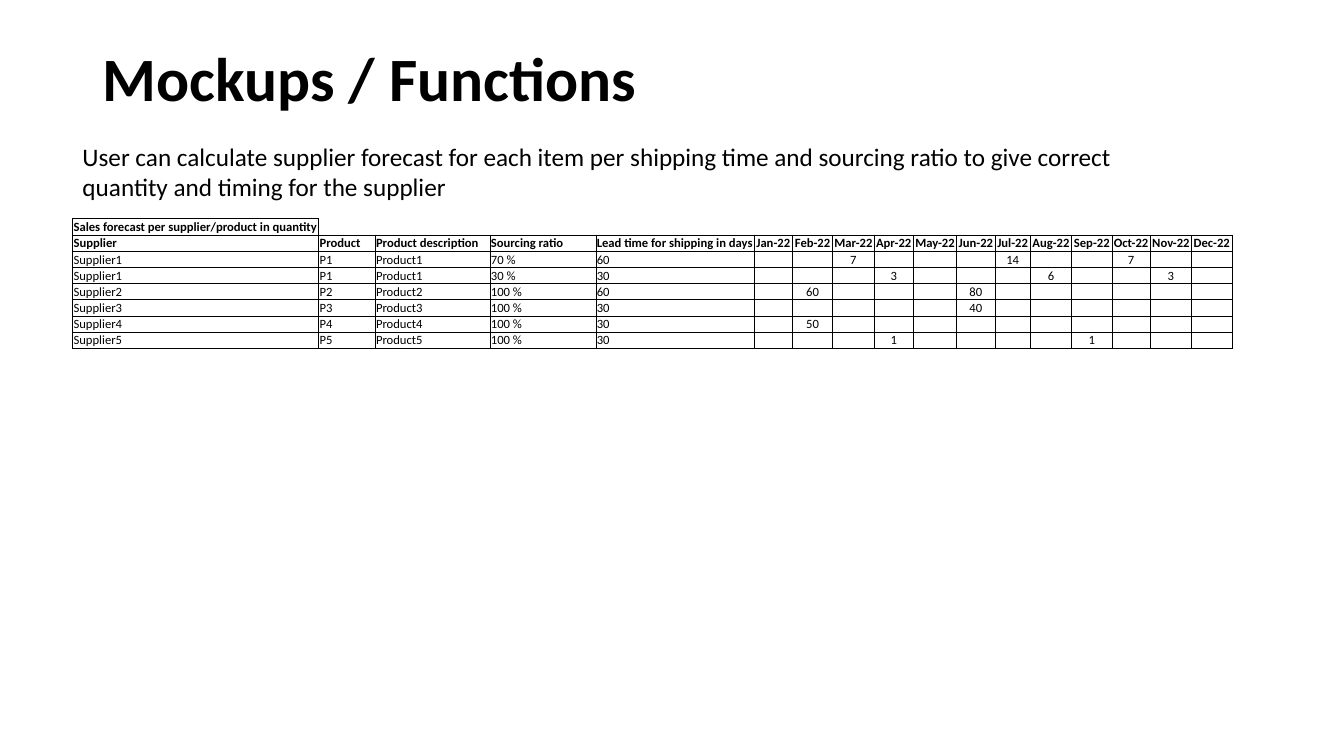
from lxml import etree
from pptx import Presentation
from pptx import util as u
from pptx.dml.color import RGBColor
from pptx.enum import text
from pptx.oxml.ns import qn

COLOURS = {"ink": "000000"}
FONT = "Calibri"
WIDTH, HEIGHT = 13.33, 7.5
LEFT = 0.72
CELL_SIZE = 9
ROW_HEIGHT = 0.16
INFO_WIDTHS = [2.44, 0.56, 1.14, 1.05, 1.57]
MONTH_WIDTHS = [0.38, 0.4, 0.41, 0.39, 0.43, 0.38, 0.35, 0.41, 0.4, 0.38, 0.41, 0.4]
MONTHS = "Jan Feb Mar Apr May Jun Jul Aug Sep Oct Nov Dec".split()
CAPTION = "Sales forecast per supplier/product in quantity"
INFO_HEADINGS = ["Supplier", "Product", "Product description", "Sourcing ratio",
                 "Lead time for shipping in days"]
# supplier number, product number, sourcing ratio, lead time, quantity by month
FORECASTS = [
    (1, 1, 70, 60, {"Mar": 7, "Jul": 14, "Oct": 7}),
    (1, 1, 30, 30, {"Apr": 3, "Aug": 6, "Nov": 3}),
    (2, 2, 100, 60, {"Feb": 60, "Jun": 80}),
    (3, 3, 100, 30, {"Jun": 40}),
    (4, 4, 100, 30, {"Feb": 50}),
    (5, 5, 100, 30, {"Apr": 1, "Sep": 1}),
]


def format_runs(paragraph, size, bold=False):
    """Give every run of a paragraph its font, size, weight and colour."""
    for span in paragraph.runs:
        span.font.name = FONT
        span.font.size = u.Pt(size)
        span.font.bold = bold
        span.font.color.rgb = RGBColor.from_string(COLOURS["ink"])


def place_title(page, words):
    """Move, fill and format the title placeholder."""
    title = page.shapes.title
    title.left, title.top = u.Inches(0.92), u.Inches(0.4)
    title.width, title.height = u.Inches(11.5), u.Inches(0.82)
    frame = title.text_frame
    frame.text = words
    frame.auto_size = text.MSO_AUTO_SIZE.NONE
    frame.vertical_anchor = text.MSO_ANCHOR.MIDDLE
    para = frame.paragraphs[0]
    para.alignment = text.PP_ALIGN.LEFT
    para.line_spacing = 0.9
    format_runs(para, 44, True)


def add_intro(page, words):
    """Add the wrapped introduction above the table."""
    box = page.shapes.add_textbox(u.Inches(LEFT), u.Inches(1.35),
                                  u.Inches(10.66), u.Inches(0.71))
    frame = box.text_frame
    frame.word_wrap = True
    frame.auto_size = text.MSO_AUTO_SIZE.SHAPE_TO_FIT_TEXT
    frame.text = words
    format_runs(frame.paragraphs[0], 18)


def draw_borders(cell, sides):
    """Draw thin lines on the named sides (L, R, T, B) of a cell."""
    properties = cell._tc.get_or_add_tcPr()
    for side in sides:
        line = etree.SubElement(properties, qn("a:ln" + side), w=str(u.Pt(0.5)))
        fill = etree.SubElement(line, qn("a:solidFill"))
        etree.SubElement(fill, qn("a:srgbClr"), val=COLOURS["ink"])


def fill_cell(cell, words, bold, centred):
    """Write one table cell with tight margins and no fill."""
    cell.margin_left = cell.margin_right = cell.margin_top = u.Inches(0.01)
    cell.margin_bottom = 0
    cell.vertical_anchor = text.MSO_ANCHOR.BOTTOM
    cell.fill.background()
    para = cell.text_frame.paragraphs[0]
    if centred:
        para.alignment = text.PP_ALIGN.CENTER
    if words:
        para.text = words
        format_runs(para, CELL_SIZE, bold)
    else:
        etree.SubElement(para._p, qn("a:endParaRPr"), sz=str(CELL_SIZE * 100))


def forecast_rows():
    """Return the cell texts: caption, headings, then one row per forecast."""
    rows = [[CAPTION] + [""] * (len(INFO_HEADINGS) + len(MONTHS) - 1),
            INFO_HEADINGS + [f"{month}-22" for month in MONTHS]]
    for supplier, product, ratio, days, quantities in FORECASTS:
        info = [f"Supplier{supplier}", f"P{product}", f"Product{product}",
                f"{ratio} %", str(days)]
        rows.append(info + [str(quantities.get(month, "")) for month in MONTHS])
    return rows


def add_forecast_table(page):
    """Add the forecast grid; only its caption cell is boxed in the top row."""
    rows = forecast_rows()
    widths = INFO_WIDTHS + MONTH_WIDTHS
    table = page.shapes.add_table(
        len(rows), len(widths), u.Inches(LEFT), u.Inches(2.17),
        u.Inches(sum(widths)), u.Inches(ROW_HEIGHT * len(rows))).table
    table.first_row = table.horz_banding = False
    for column, width in zip(table.columns, widths):
        column.width = u.Inches(width)
    for r, words_in_row in enumerate(rows):
        table.rows[r].height = u.Inches(ROW_HEIGHT)
        for c, words in enumerate(words_in_row):
            cell = table.cell(r, c)
            if r > 0 or c == 0:
                sides = "LRTB"
            else:
                sides = "LB" if c == 1 else "B"
            draw_borders(cell, sides)
            fill_cell(cell, words, bold=r < 2, centred=c >= len(INFO_WIDTHS))


def main():
    """Build the slide and save the deck."""
    deck = Presentation()
    deck.slide_width, deck.slide_height = u.Inches(WIDTH), u.Inches(HEIGHT)
    page = deck.slides.add_slide(deck.slide_layouts[5])
    place_title(page, "Mockups / Functions")
    add_intro(page, "User can calculate supplier forecast for each item per shipping "
                    "time and sourcing ratio to give correct quantity and timing "
                    "for the supplier")
    add_forecast_table(page)
    deck.save("out.pptx")


main()
